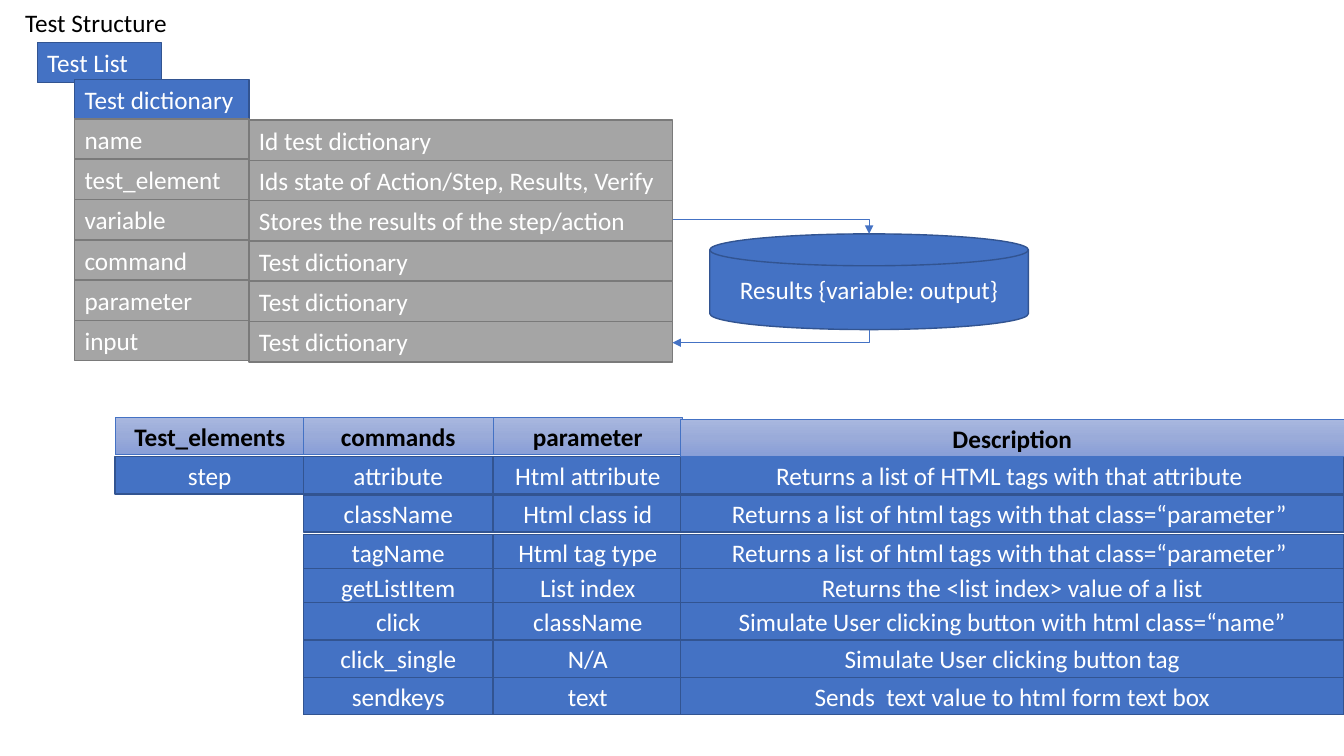
from copy import deepcopy
from dataclasses import dataclass

from pptx import Presentation
from pptx.dml.color import RGBColor
from pptx.enum.shapes import MSO_CONNECTOR, MSO_SHAPE
from pptx.enum.text import MSO_ANCHOR, MSO_AUTO_SIZE, PP_ALIGN
from pptx.oxml.ns import qn
from pptx.util import Inches, Pt
from lxml.etree import SubElement


@dataclass(frozen=True)
class Theme:
    font: str = "Calibri"
    size: float = 18
    dark: str = "000000"
    light: str = "FFFFFF"
    blue: str = "4472C4"
    blue_edge: str = "325491"
    gray: str = "A5A5A5"
    gray_edge: str = "7A7A7A"
    header: tuple = ("A8B7DF", "9AABD9", "889ED7")
    edge: float = 1
    thin: float = 0.5


FIELD_FRAME = {"vertical_anchor": MSO_ANCHOR.TOP, "word_wrap": True,
               "auto_size": MSO_AUTO_SIZE.SHAPE_TO_FIT_TEXT}
CELL_FRAME = {"vertical_anchor": MSO_ANCHOR.MIDDLE, "word_wrap": True}
TITLE_FRAME = {"word_wrap": False, "auto_size": MSO_AUTO_SIZE.SHAPE_TO_FIT_TEXT}


def apply_format(target, values):
    for name, value in values.items():
        setattr(target, name, value)


class Board:
    def __init__(self, slide, theme):
        self.shapes = slide.shapes
        self.theme = theme

    def label(self, shape, text, frame, color, align=PP_ALIGN.LEFT, bold=False):
        apply_format(shape.text_frame, frame)
        paragraph = shape.text_frame.paragraphs[0]
        paragraph.alignment = align
        run = paragraph.add_run()
        run.text = text
        apply_format(run.font, {"name": self.theme.font, "size": Pt(self.theme.size), "bold": bold})
        run.font.color.rgb = RGBColor.from_string(color)

    def outline(self, line, color, width):
        line.color.rgb = RGBColor.from_string(color)
        line.width = Pt(width)

    def block(self, kind, place, edge, width):
        shape = self.shapes.add_shape(kind, *map(Inches, place))
        shape.shadow.inherit = False
        self.outline(shape.line, edge, width)
        return shape

    def title(self, text, place):
        box = self.shapes.add_textbox(*map(Inches, place))
        self.label(box, text, TITLE_FRAME, self.theme.dark)

    def field(self, text, place, fill, edge):
        field = self.block(MSO_SHAPE.RECTANGLE, place, edge, self.theme.edge)
        field.fill.solid()
        field.fill.fore_color.rgb = RGBColor.from_string(fill)
        self.label(field, text, FIELD_FRAME, self.theme.light)

    def cell(self, text, place, kind=MSO_SHAPE.FLOWCHART_PROCESS):
        cell = self.block(kind, place, self.theme.blue_edge, self.theme.edge)
        cell.fill.solid()
        cell.fill.fore_color.rgb = RGBColor.from_string(self.theme.blue)
        self.label(cell, text, CELL_FRAME, self.theme.light, PP_ALIGN.CENTER)

    def heading(self, text, place):
        heading = self.block(MSO_SHAPE.FLOWCHART_PROCESS, place, self.theme.blue, self.theme.thin)
        heading.fill.gradient()
        heading.fill.gradient_angle = 270
        stops = heading._element.spPr.find(".//" + qn("a:gsLst"))
        stops.insert(1, deepcopy(stops[0]))
        for stop, color, position in zip(heading.fill.gradient_stops, self.theme.header, (0, 0.5, 1)):
            stop.color.rgb = RGBColor.from_string(color)
            stop.position = position
        self.label(heading, text, CELL_FRAME, self.theme.dark, PP_ALIGN.CENTER, True)

    def bent_arrow(self, left, top, width, height, turn=0):
        ends = map(Inches, (left, top, left + width, top + height))
        arrow = self.shapes.add_connector(MSO_CONNECTOR.ELBOW, *ends)
        self.outline(arrow.line, self.theme.blue, self.theme.thin)
        properties = arrow._element.spPr
        properties.find(qn("a:prstGeom")).set("prst", "bentConnector2")
        properties.find(qn("a:xfrm")).set("rot", str(turn * 60000))
        SubElement(properties.find(qn("a:ln")), qn("a:tailEnd"), type="triangle")
        SubElement(properties, qn("a:effectLst"))


FIELDS = [
    ("name", "Id test dictionary"),
    ("test_element", "Ids state of Action/Step, Results, Verify"),
    ("variable", "Stores the results of the step/action"),
    ("command", "Test dictionary"),
    ("parameter", "Test dictionary"),
    ("input", "Test dictionary"),
]
COLUMNS = [(1.14, 1.88), (3.01, 1.88), (4.89, 1.88), (6.75, 6.58)]
HEADINGS = [("Test_elements", 4.14), ("commands", 4.14), ("parameter", 4.14), ("Description", 4.16)]
COMMANDS = [
    (4.53, "step", "attribute", "Html attribute", "Returns a list of HTML tags with that attribute "),
    (4.91, "", "className", "Html class id", "Returns a list of html tags with that class=“parameter” "),
    (5.3, "", "tagName", "Html tag type", "Returns a list of html tags with that class=“parameter” "),
    (5.64, "", "getListItem", "List index", "Returns the <list index> value of a list"),
    (5.98, "", "click", "className", "Simulate User clicking button with html class=“name”"),
    (6.35, "", "click_single", "N/A", "Simulate User clicking button tag"),
    (6.72, "", "sendkeys", "text", "Sends  text value to html form text box"),
]
ROW_HEIGHT = 0.37
FIELD_PITCH = 0.4


def main():
    deck = Presentation()
    apply_format(deck, {"slide_width": Inches(13.33), "slide_height": Inches(7.5)})
    theme = Theme()
    board = Board(deck.slides.add_slide(deck.slide_layouts[6]), theme)

    board.title("Test Structure", (0.15, 0.02, 1.62, 0.4))
    board.field("Test List", (0.37, 0.42, 1.23, 0.4), theme.blue, theme.blue_edge)
    board.field("Test dictionary", (0.74, 0.79, 1.73, 0.4), theme.blue, theme.blue_edge)
    for index, (key, meaning) in enumerate(FIELDS):
        top = 1.18 + index * FIELD_PITCH
        board.field(key, (0.74, top, 1.73, 0.4), theme.gray, theme.gray_edge)
        board.field(meaning, (2.47, top + 0.01, 4.2, 0.4), theme.gray, theme.gray_edge)

    board.cell("Results {variable: output}", (7.04, 2.32, 3.16, 0.95), MSO_SHAPE.FLOWCHART_MAGNETIC_DISK)
    board.bent_arrow(6.67, 2.18, 1.95, 0.14)
    board.bent_arrow(7.58, 2.36, 0.13, 1.95, turn=90)

    for top, *entries in COMMANDS:
        for entry, (left, width) in zip(entries, COLUMNS):
            if entry:
                board.cell(entry, (left, top, width, ROW_HEIGHT))
    for (label, top), (left, width) in zip(HEADINGS, COLUMNS):
        board.heading(label, (left, top, width, ROW_HEIGHT))

    deck.save("out.pptx")


if __name__ == "__main__":
    main()
